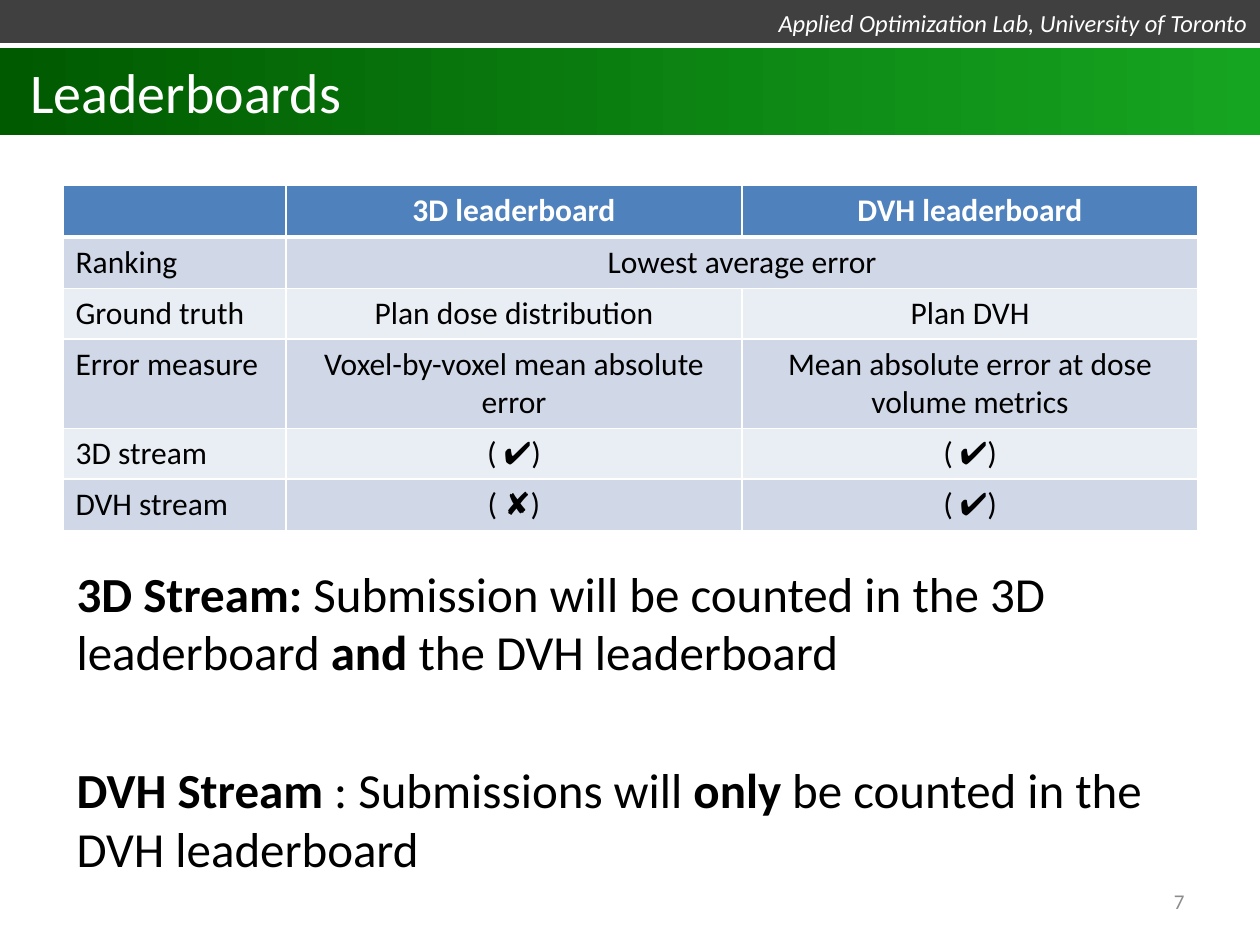
import pptx
import pptx.util
import pptx.dml.color
import pptx.enum.shapes
import pptx.enum.text
import pptx.oxml
import pptx.oxml.ns
import lxml.etree

RGBColor = pptx.dml.color.RGBColor
Shape = pptx.enum.shapes.MSO_SHAPE
Align = pptx.enum.text.PP_ALIGN
Anchor = pptx.enum.text.MSO_ANCHOR
Inches = pptx.util.Inches
Pt = pptx.util.Pt
qn = pptx.oxml.ns.qn

WHITE = RGBColor(0xFF, 0xFF, 0xFF)
BLACK = RGBColor(0, 0, 0)
GREY = RGBColor(0x8C, 0x8C, 0x8C)
CHARCOAL = RGBColor(0x40, 0x40, 0x40)
DARK_GREEN = RGBColor(0x00, 0x5A, 0x00)
LIGHT_GREEN = RGBColor(0x16, 0xA5, 0x21)
HEADER_BLUE = RGBColor(0x4F, 0x81, 0xBD)
BAND_DARK = RGBColor(0xD0, 0xD8, 0xE8)
BAND_LIGHT = RGBColor(0xE9, 0xED, 0xF4)


def apply_format(target, values):
    for name, value in values.items():
        setattr(target, name, value)


def write(paragraph, pieces, size, color, align=Align.LEFT, italic=False):
    paragraph.alignment = align
    for words, bold in pieces:
        run = paragraph.add_run()
        run.text = words
        apply_format(run.font, {"name": "Calibri", "size": Pt(size), "bold": bold, "italic": italic})
        run.font.color.rgb = color


deck = pptx.Presentation()
apply_format(deck, {"slide_width": Inches(10), "slide_height": Inches(7.5)})
W, H = deck.slide_width, deck.slide_height
slide = deck.slides.add_slide(deck.slide_layouts[6])
margin = int(W * 0.05)
lab_height = Inches(0.36)

lab_bar = slide.shapes.add_shape(Shape.ROUNDED_RECTANGLE, 0, 0, W, lab_height)
lab_bar.adjustments[0] = 0
lab_bar.fill.solid()
lab_bar.fill.fore_color.rgb = CHARCOAL
write(lab_bar.text_frame.paragraphs[0], [("Applied Optimization Lab, University of Toronto", False)],
      14, WHITE, Align.RIGHT, italic=True)

divider = slide.shapes.add_connector(pptx.enum.shapes.MSO_CONNECTOR.STRAIGHT, 0, lab_height, W, lab_height)
divider.line.color.rgb = WHITE
divider.line.width = Pt(2.5)
lxml.etree.SubElement(divider._element.spPr, qn("a:effectLst"))

title_bar = slide.shapes.add_shape(Shape.RECTANGLE, 0, Inches(0.38), W, Inches(0.69))
title_bar.fill.gradient()
title_bar.fill.gradient_angle = 0
for stop, color, position in zip(title_bar.fill.gradient_stops, (DARK_GREEN, LIGHT_GREEN), (0, 1)):
    stop.color.rgb = color
    stop.position = position
title_bar.text_frame.margin_left = Inches(0.24)
write(title_bar.text_frame.paragraphs[0], [("Leaderboards", False)], 32, WHITE)

for bar in (lab_bar, title_bar):
    bar.shadow.inherit = False
    bar.line.fill.background()
    apply_format(bar.text_frame, {"vertical_anchor": Anchor.MIDDLE, "word_wrap": True})

page_number = slide.shapes.add_textbox(Inches(7.17), Inches(6.95), Inches(2.33), Inches(0.4))
apply_format(page_number.text_frame, {"vertical_anchor": Anchor.MIDDLE, "word_wrap": True})
write(page_number.text_frame.paragraphs[0], [("7", False)], 12, GREY, Align.RIGHT)

streams = [
    [("3D Stream:", True), (" Submission will be counted in the 3D leaderboard ", False),
     ("and ", True), ("the DVH leaderboard", False)],
    [("DVH Stream", True), (" : Submissions will ", False),
     ("only", True), (" be counted in the DVH leaderboard", False)],
]
explanation = slide.shapes.add_textbox(Inches(0.51), Inches(4.42), W - 2 * margin, Inches(2.7)).text_frame
explanation.word_wrap = True
for index, stream in enumerate(streams):
    paragraph = explanation.paragraphs[0] if index == 0 else explanation.add_paragraph()
    paragraph.space_before = Pt(45 * index)
    write(paragraph, stream, 28, BLACK)

rows = [
    ["", "3D leaderboard", "DVH leaderboard"],
    ["Ranking", "Lowest average error", ""],
    ["Ground truth", "Plan dose distribution", "Plan DVH"],
    ["Error measure", "Voxel-by-voxel mean absolute error", "Mean absolute error at dose volume metrics"],
    ["3D stream", "( ✔)", "( ✔)"],
    ["DVH stream", "( ✘)", "( ✔)"],
]
row_heights = [0.41, 0.41, 0.4, 0.71, 0.4, 0.41]
column_widths = [1.77, 3.62, 3.62]
comparison = slide.shapes.add_table(len(rows), len(column_widths), margin, Inches(1.47),
                                    Inches(sum(column_widths)), Inches(sum(row_heights))).table
for column, width in zip(comparison.columns, column_widths):
    column.width = Inches(width)
for row, height in zip(comparison.rows, row_heights):
    row.height = Inches(height)
comparison.cell(1, 1).merge(comparison.cell(1, 2))

for r, row in enumerate(rows):
    for c, words in enumerate(row):
        cell = comparison.cell(r, c)
        header = r == 0
        properties = cell._tc.get_or_add_tcPr()
        for side in ("L", "R", "T", "B"):
            thick = (header and side == "B") or (r == 1 and side == "T")
            border = lxml.etree.SubElement(properties, qn(f"a:ln{side}"), w=str(Pt(3 if thick else 1)))
            paint = lxml.etree.SubElement(border, qn("a:solidFill"))
            lxml.etree.SubElement(paint, qn("a:srgbClr"), val=str(WHITE))
        cell.fill.solid()
        cell.fill.fore_color.rgb = HEADER_BLUE if header else (BAND_LIGHT, BAND_DARK)[r % 2]
        if words:
            write(cell.text_frame.paragraphs[0], [(words, header)], 18,
                  WHITE if header else BLACK, Align.CENTER if c else Align.LEFT)

deck.save("out.pptx")
